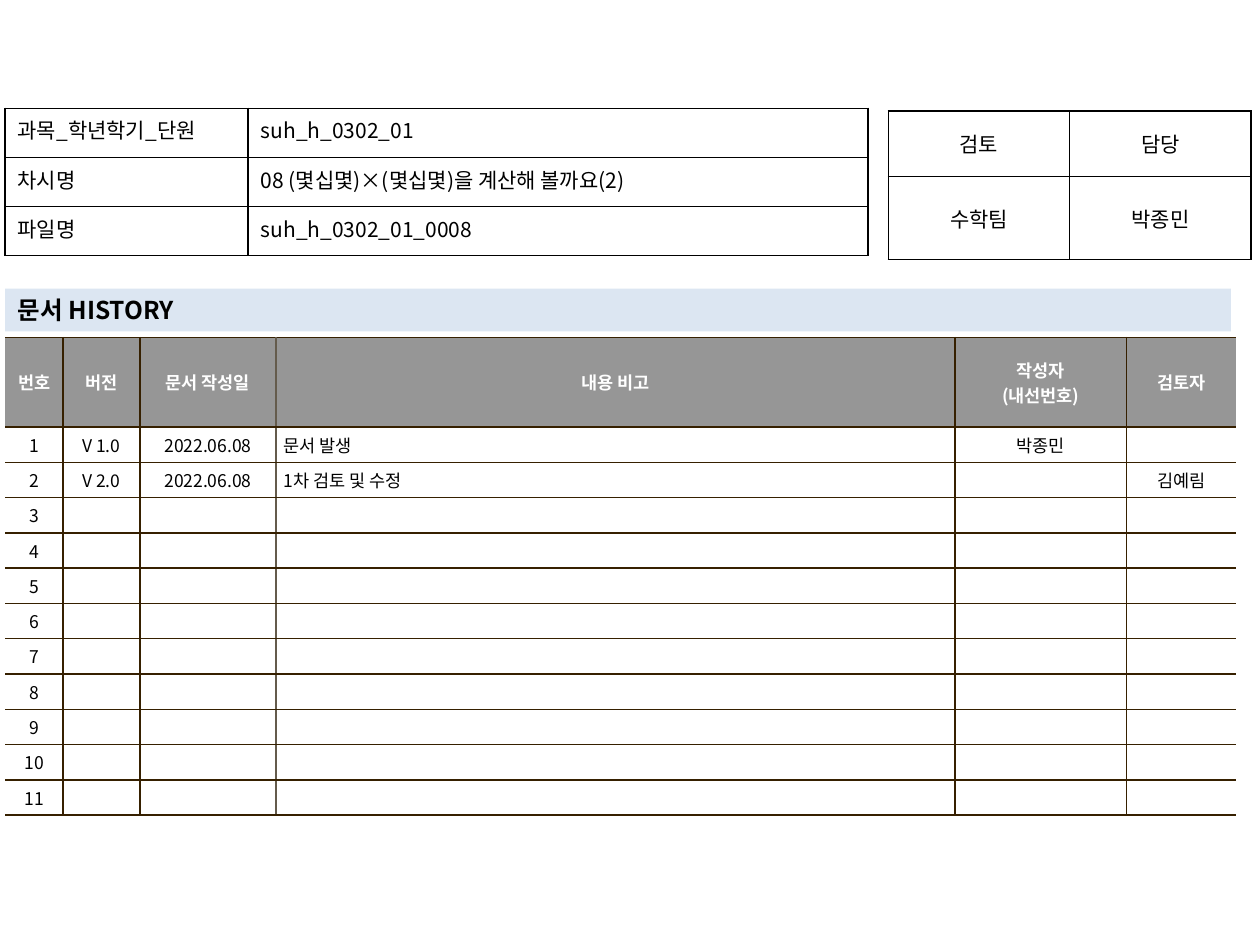
from lxml import etree
from pptx import Presentation, util as u
from pptx.dml.color import RGBColor
from pptx.enum import text
from pptx.oxml import ns

FONT = "Noto Sans CJK KR"
BLACK = RGBColor(0x00, 0x00, 0x00)
WHITE = RGBColor(0xFF, 0xFF, 0xFF)
GRAY = RGBColor(0x96, 0x96, 0x96)
PALE_BLUE = RGBColor(0xDC, 0xE6, 0xF2)
BROWN = RGBColor(0x36, 0x20, 0x00)
TAUPE = RGBColor(0x64, 0x5B, 0x4C)

LEFT, CENTER, JUSTIFY = (text.PP_ALIGN.LEFT, text.PP_ALIGN.CENTER,
                         text.PP_ALIGN.JUSTIFY)
MARGIN = 0.04
REMARK = 3  # column of the history table that holds the remarks

INFO = [
    ["과목_학년학기_단원", "suh_h_0302_01"],
    ["차시명", "08 (몇십몇)×(몇십몇)을 계산해 볼까요(2)"],
    ["파일명", "suh_h_0302_01_0008"],
]
REVIEW = [["검토", "담당"], ["수학팀", "박종민"]]
HEADER = ["번호", "버전", "문서 작성일", "내용 비고", "작성자\n(내선번호)", "검토자"]
ENTRIES = [
    ["V 1.0", "2022.06.08", "문서 발생", "박종민", ""],
    ["V 2.0", "2022.06.08", "1차 검토 및 수정", "", "김예림"],
]
ENTRY_ROWS = 11


def format_text(tf, size, color, align, bold=False):
    for p in tf.paragraphs:
        p.alignment = align
        for r in p.runs:
            r.font.size, r.font.bold, r.font.name = u.Pt(size), bold, FONT
            r.font.color.rgb = color
            ea = etree.SubElement(r._r.get_or_add_rPr(), ns.qn("a:ea"))
            ea.set("typeface", FONT)
        if not p.runs:  # an empty cell must not stretch its row
            p._p.get_or_add_endParaRPr().set("sz", str(size * 100))


def set_borders(cell, colors):
    """Draw 1 pt lines in the order left, right, top, bottom; None hides one."""
    tc_pr = cell._tc.get_or_add_tcPr()
    for side, color in zip("LRTB", colors):
        ln = etree.SubElement(tc_pr, ns.qn(f"a:ln{side}"), w=str(u.Pt(1)))
        if color is None:
            etree.SubElement(ln, ns.qn("a:noFill"))
        else:
            fill = etree.SubElement(ln, ns.qn("a:solidFill"))
            etree.SubElement(fill, ns.qn("a:srgbClr"), val=str(color))


def add_grid(s, left, top, widths, heights, rows):
    """Add a plain table and yield (row, column, cell) for formatting."""
    frame = s.shapes.add_table(len(heights), len(widths), u.Inches(left),
                               u.Inches(top), u.Inches(sum(widths)),
                               u.Inches(sum(heights)))
    table = frame.table
    table.first_row = table.horz_banding = False
    for column, width in zip(table.columns, widths):
        column.width = u.Inches(width)
    for row, height in zip(table.rows, heights):
        row.height = u.Inches(height)
    for i, row in enumerate(rows):
        for j, value in enumerate(row):
            cell = table.cell(i, j)
            cell.text_frame.text = value
            yield i, j, cell


def add_form(s, left, top, widths, heights, rows, aligns, anchor):
    for _, j, cell in add_grid(s, left, top, widths, heights, rows):
        set_borders(cell, [BLACK] * 4)
        cell.fill.background()
        cell.vertical_anchor = anchor
        format_text(cell.text_frame, 12, BLACK, aligns[j])


def add_history(s, top):
    widths = [0.46, 0.61, 1.08, 5.39, 1.36, 0.87]
    heights = [0.71] + [0.28] * ENTRY_ROWS
    blank = [""] * (len(HEADER) - 1)
    entries = ENTRIES + [blank] * (ENTRY_ROWS - len(ENTRIES))
    rows = [HEADER] + [[str(n), *e] for n, e in enumerate(entries, 1)]
    verticals = [None] + [BROWN] * (len(widths) - 1) + [None]
    verticals[REMARK] = TAUPE

    for i, j, cell in add_grid(s, MARGIN, top, widths, heights, rows):
        head = i == 0
        set_borders(cell, [verticals[j], verticals[j + 1], BROWN, BROWN])
        cell.fill.solid()
        cell.fill.fore_color.rgb = GRAY if head else WHITE
        cell.vertical_anchor = text.MSO_ANCHOR.MIDDLE
        cell.margin_left = cell.margin_right = u.Inches(0.06)
        cell.margin_top = cell.margin_bottom = u.Inches(0.04)
        align = LEFT if j == REMARK and not head else CENTER
        format_text(cell.text_frame, 10, WHITE if head else BLACK, align, head)


def set_title(s, top):
    sp = s.shapes.title
    sp.left, sp.top = u.Inches(MARGIN), u.Inches(top)
    sp.width, sp.height = u.Inches(9.73), u.Inches(0.34)
    sp.fill.solid()
    sp.fill.fore_color.rgb = PALE_BLUE
    tf = sp.text_frame
    tf.text = "문서 HISTORY"
    tf.auto_size = text.MSO_AUTO_SIZE.NONE
    tf.vertical_anchor = text.MSO_ANCHOR.MIDDLE
    format_text(tf, 14, BLACK, LEFT, bold=True)


def main():
    prs = Presentation()
    prs.slide_width, prs.slide_height = u.Inches(10), u.Inches(7.5)
    s = prs.slides.add_slide(prs.slide_layouts[5])
    set_title(s, 2.29)
    add_history(s, 2.68)
    add_form(s, 7.05, 0.88, [1.44] * 2, [0.52, 0.66], REVIEW,
             [CENTER, CENTER], text.MSO_ANCHOR.MIDDLE)
    add_form(s, MARGIN, 0.86, [1.93, 4.92], [0.39] * 3, INFO,
             [JUSTIFY, LEFT], text.MSO_ANCHOR.TOP)
    prs.save("out.pptx")


if __name__ == "__main__":
    main()
